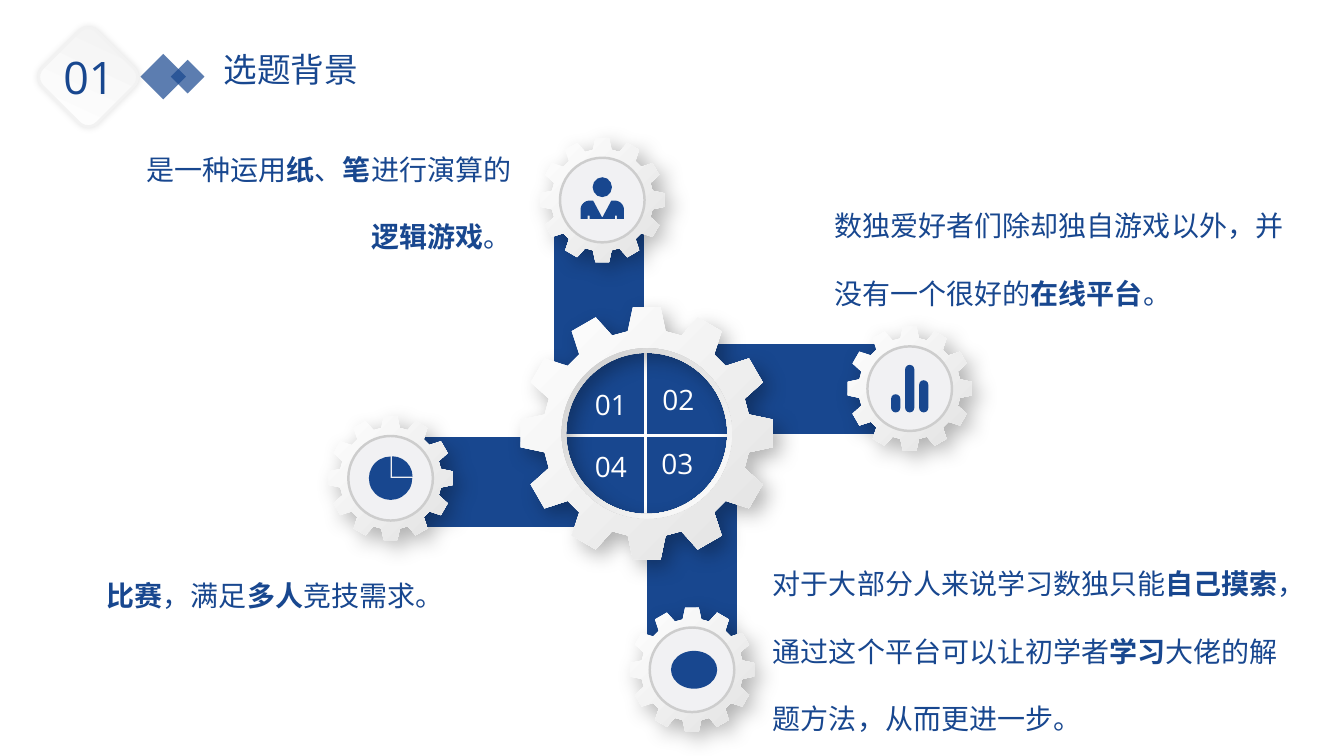
from dataclasses import dataclass
from math import cos, pi, sin

from lxml.etree import SubElement
from pptx import Presentation
from pptx.dml.color import RGBColor
from pptx.enum.shapes import MSO_SHAPE
from pptx.enum.text import MSO_ANCHOR, MSO_AUTO_SIZE, PP_ALIGN
from pptx.oxml.ns import qn
from pptx.util import Pt


@dataclass(frozen=True)
class Theme:
    blue: str = "18478F"
    white: str = "FFFFFF"
    gear_end: str = "E2E2E2"
    badge_end: str = "F2F2F2"
    disc: str = "F1F1F3"
    ring: str = "CDCDCD"
    font: str = "Open Sans"
    body: int = 20
    title: int = 24
    badge: int = 32


THEME = Theme()
LEFT, CENTER, RIGHT = PP_ALIGN.LEFT, PP_ALIGN.CENTER, PP_ALIGN.RIGHT

# Text: runs are (words, bold); boxes are left, top, width, height in points
TITLE = ("选题背景", (152.6, 31, 190.8, 36))
SECTION = ("01", (38.2, 31.7, 61.2, 46))
NUMBERS = [
    ("01", (409, 272.9, 54.7, 29.5)),
    ("02", (446.4, 270, 76.3, 29.5)),
    ("03", (445.7, 315.4, 76.3, 29.5)),
    ("04", (398.2, 317.5, 76.3, 29.5)),
]
PARAGRAPHS = [
    (LEFT, (589, 121.7, 350.6, 104.4),
     [("数独爱好者们除却独自游戏以外，并没有一个很好的", False),
      ("在线平台", True), ("。", False)]),
    (RIGHT, (78.5, 81.4, 293.8, 104.4),
     [("是一种运用", False), ("纸", True), ("、", False), ("笔", True),
      ("进行演算的", False), ("逻辑游戏", True), ("。", False)]),
    (LEFT, (545, 377.3, 394.6, 152.6),
     [("对于大部分人来说学习数独只能", False), ("自己摸索", True),
      ("，通过这个平台可以让初学者", False), ("学习", True),
      ("大佬的解题方法，从而更进一步。", False)]),
    (CENTER, (41, 385.9, 311, 55.4),
     [("比赛", True), ("，满足", False), ("多人", True), ("竞技需求。", False)]),
]

# Drawing: gear centres, radii and arms
HUB, HUB_RADIUS, HOLE_RADIUS = (462, 309.6), 90, 58.3
PIVOT, ARM_WIDTH, ARM_LENGTH, ARM_COUNT = (461, 311), 66.2, 173.5, 4
GEARS = {"contest": (279, 341.6), "player": (430.2, 142.9),
         "platform": (649.8, 277.6), "learning": (494.3, 478.4)}
GEAR_RADIUS, DISC_RADIUS = 44.3, 30.2
TEETH = 12
TOOTH = [(-0.15, 0.81), (-0.11, 1), (0.11, 1), (0.15, 0.81)]  # across, outward
BARS, BAR_WIDTH, BAR_STEP, BAR_BASE = [13, 34, 23], 6.6, 10, 17
DIAMONDS = [(116.6, 54.7, 23), (134, 54.7, 17)]  # centre x, centre y, side
BADGE = (63, 55.1, 55.4)

prs = Presentation()
prs.slide_width, prs.slide_height = Pt(960), Pt(540)
slide = prs.slides.add_slide(prs.slide_layouts[5])
shapes = slide.shapes


def color(code):
    return RGBColor.from_string(code)


def paint(shape, fill, line=None, width=0, alpha=None):
    shape.shadow.inherit = False
    shape.fill.solid()
    shape.fill.fore_color.rgb = color(fill)
    if alpha:
        tint = shape.fill._xPr.find(qn("a:solidFill"))[0]
        SubElement(tint, qn("a:alpha"), val=str(alpha * 1000))
    if line:
        shape.line.color.rgb = color(line)
        shape.line.width = Pt(width)
    else:
        shape.line.fill.background()


def shade(shape, start, end, angle):
    """Fill with a gradient; the angle runs counter-clockwise."""
    shape.shadow.inherit = False
    shape.line.fill.background()
    shape.fill.gradient()
    shape.fill.gradient_angle = angle
    for stop, code in zip(shape.fill.gradient_stops, (start, end)):
        stop.color.rgb = color(code)


def cast_shadow(shape, alpha, blur, distance, angle):
    effects = shape._element.spPr.find(qn("a:effectLst"))
    outer = SubElement(effects, qn("a:outerShdw"), blurRad=str(Pt(blur)),
                       dist=str(Pt(distance)), dir=str(angle * 60000),
                       algn="ctr", rotWithShape="0")
    black = SubElement(outer, qn("a:srgbClr"), val="000000")
    SubElement(black, qn("a:alpha"), val=str(alpha * 1000))


def centred(kind, x, y, width, height):
    return shapes.add_shape(kind, Pt(x - width / 2), Pt(y - height / 2),
                            Pt(width), Pt(height))


def outline(*contours):
    points = [[(Pt(x), Pt(y)) for x, y in contour] for contour in contours]
    builder = shapes.build_freeform(*points[0][0], scale=1.0)
    builder.add_line_segments(points[0][1:], close=True)
    for contour in points[1:]:
        builder.move_to(*contour[0])
        builder.add_line_segments(contour[1:], close=True)
    return builder.convert_to_shape()


def arc(x, y, radius, start, end, steps):
    angles = [start + (end - start) * i / steps for i in range(steps + 1)]
    return [(x + radius * cos(a), y + radius * sin(a)) for a in angles]


def add_gear(x, y, radius, hole=None):
    rim = []
    for tooth in range(TEETH):
        turn = 2 * pi * tooth / TEETH
        rim += [(x + radius * (across * cos(turn) + out * sin(turn)),
                 y + radius * (across * sin(turn) - out * cos(turn)))
                for across, out in TOOTH]
    contours = [rim] + ([arc(x, y, hole, 2 * pi, 0, 90)] if hole else [])
    gear = outline(*contours)
    shade(gear, THEME.white, THEME.gear_end, 315)
    cast_shadow(gear, 30, 15, 7, 45)


def write(frame, runs, size, code, align=LEFT, spacing=1.0, wrap=True):
    frame.word_wrap = wrap
    frame.auto_size = MSO_AUTO_SIZE.NONE
    frame.vertical_anchor = MSO_ANCHOR.TOP
    paragraph = frame.paragraphs[0]
    paragraph.alignment, paragraph.line_spacing = align, spacing
    for words, bold in runs:
        run = paragraph.add_run()
        run.text = words
        run.font.name, run.font.size, run.font.bold = THEME.font, Pt(size), bold
        run.font.color.rgb = color(code)


def text_box(box, *args, **kwargs):
    write(shapes.add_textbox(*map(Pt, box)).text_frame, *args, **kwargs)


def draw_player(x, y):
    head = centred(MSO_SHAPE.OVAL, x, y - 9.2, 13.8, 14.2)
    half = ([(6.5, 0)] + arc(9, 6.5, 6.5, -pi / 2, 0, 8)
            + [(15.5, 13), (10.4, 13), (10.4, 10.8), (9, 10.8), (9, 13)])
    mirrored = [(-dx, dy) for dx, dy in reversed(half)]
    body = outline([(x + dx, y + 0.4 + dy)
                    for dx, dy in [(0, 12.2)] + half + mirrored])
    for part in (head, body):
        paint(part, THEME.blue)


def draw_platform(x, y):
    for i, height in enumerate(BARS):
        bar = centred(MSO_SHAPE.ROUNDED_RECTANGLE, x + (i - 1) * BAR_STEP,
                      y + BAR_BASE - height / 2, BAR_WIDTH, height)
        bar.adjustments[0] = 0.5
        paint(bar, THEME.blue)


def draw_contest(x, y):
    for shift, size, start, end in [(0, 31, 0, 162), (1.2, 29, 162, 0)]:
        slice_ = centred(MSO_SHAPE.PIE, x + shift, y - shift, size, size)
        slice_.adjustments[0], slice_.adjustments[1] = start, end
        paint(slice_, THEME.blue)


def draw_learning(x, y):
    paint(centred(MSO_SHAPE.OVAL, x + 1.5, y, 33, 27), THEME.blue)


ICONS = {"contest": draw_contest, "player": draw_player,
         "platform": draw_platform, "learning": draw_learning}

dx, dy = -ARM_WIDTH / 2, -ARM_LENGTH / 2
for quarter in range(ARM_COUNT):
    arm = centred(MSO_SHAPE.RECTANGLE, PIVOT[0] + dx, PIVOT[1] + dy,
                  ARM_WIDTH, ARM_LENGTH)
    arm.rotation = 90 * quarter
    paint(arm, THEME.blue, THEME.white, 2)
    dx, dy = -dy, dx

add_gear(*HUB, HUB_RADIUS, HOLE_RADIUS)
hub_ring = centred(MSO_SHAPE.DONUT, *HUB, 121.7, 121.7)
hub_ring.adjustments[0] = 0.027
shade(hub_ring, THEME.ring, THEME.white, 315)

for topic, centre in GEARS.items():
    add_gear(*centre, GEAR_RADIUS)
    disc = centred(MSO_SHAPE.OVAL, *centre, 2 * DISC_RADIUS, 2 * DISC_RADIUS)
    paint(disc, THEME.disc, THEME.ring, 1.75)
    ICONS[topic](*centre)

for number, box in NUMBERS:
    text_box(box, [(number, False)], THEME.body, THEME.white, CENTER)
for align, box, runs in PARAGRAPHS:
    text_box(box, runs, THEME.body, THEME.blue, align, 2.0)

for x, y, side in DIAMONDS:
    diamond = centred(MSO_SHAPE.RECTANGLE, x, y, side, side)
    diamond.rotation = 225
    paint(diamond, THEME.blue, alpha=70)

heading, box = TITLE
title = shapes.title
title.left, title.top, title.width, title.height = map(Pt, box)
write(title.text_frame, [(heading, False)], THEME.title, THEME.blue)

x, y, side = BADGE
badge = centred(MSO_SHAPE.ROUNDED_RECTANGLE, x, y, side, side)
badge.rotation = 45
shade(badge, THEME.white, THEME.badge_end, 110)
badge.line.color.rgb = color(THEME.badge_end)
badge.line.width = Pt(2)
cast_shadow(badge, 11, 5, 0, 0)
section, box = SECTION
text_box(box, [(section, False)], THEME.badge, THEME.blue, wrap=False)

prs.save("out.pptx")
